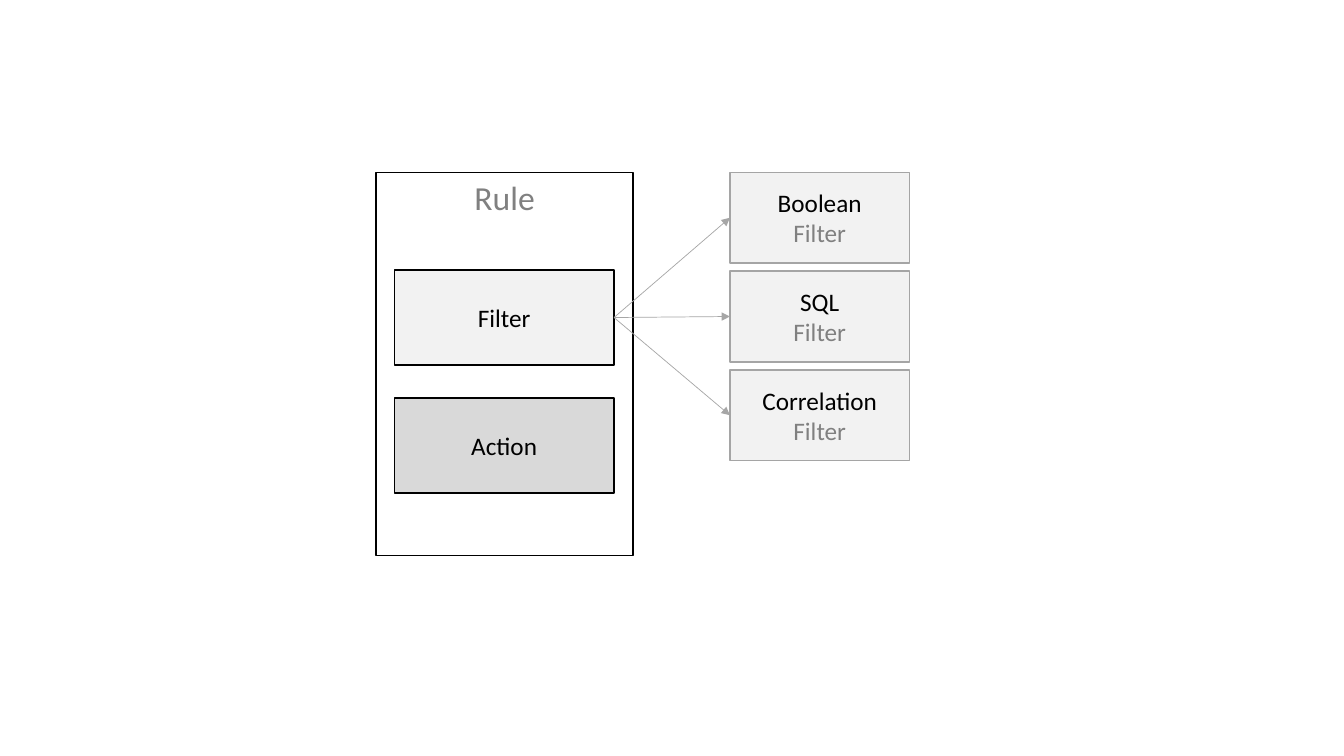
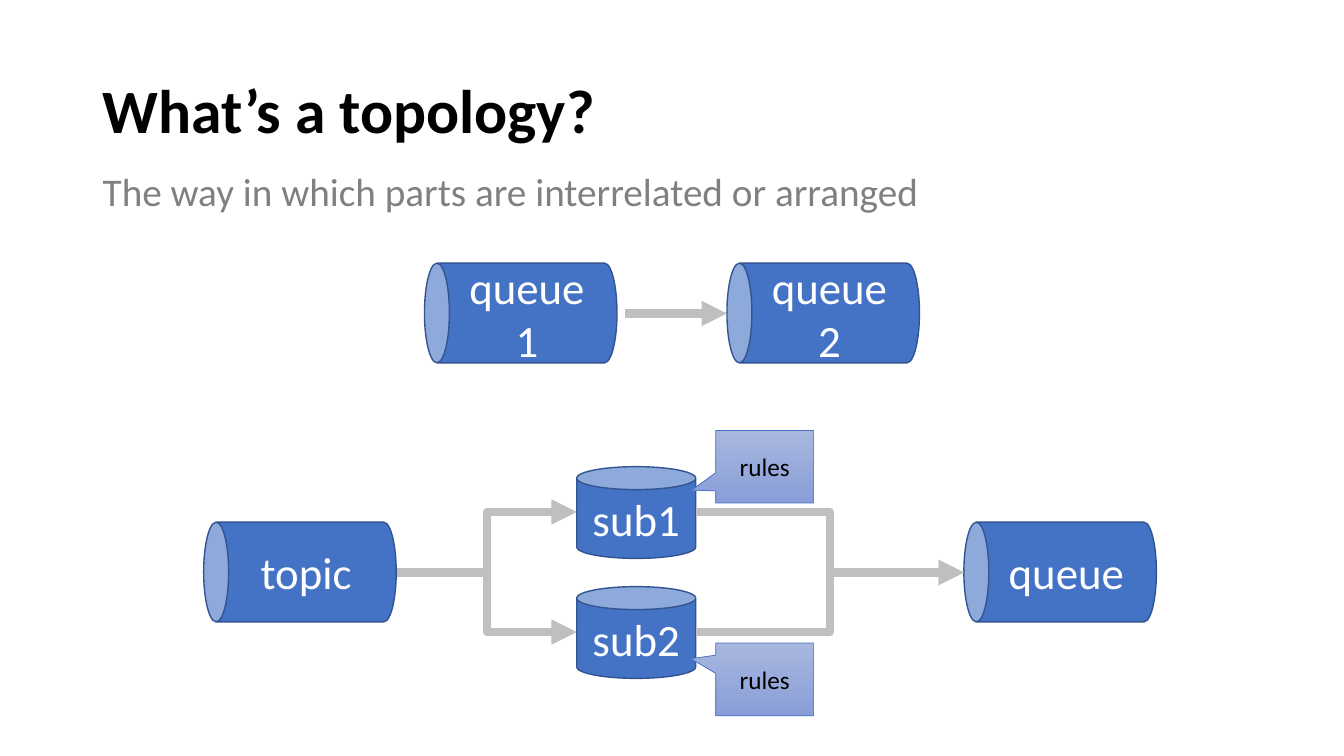
import pptx
import pptx.util
import pptx.dml.color
import pptx.enum.shapes
import pptx.enum.text
import pptx.oxml.ns
import lxml.etree

Inches = pptx.util.Inches
Pt = pptx.util.Pt
SHAPE = pptx.enum.shapes.MSO_SHAPE
CONNECTOR = pptx.enum.shapes.MSO_CONNECTOR
ALIGN = pptx.enum.text.PP_ALIGN
ANCHOR = pptx.enum.text.MSO_ANCHOR
RGB = pptx.dml.color.RGBColor.from_string
qn = pptx.oxml.ns.qn

FONT = "Calibri"
COLORS = {
    "black": "000000", "white": "FFFFFF", "muted": "808080",
    "light": "F2F2F2", "medium": "D9D9D9", "filter_edge": "A5A5A5",
    "thin_arrow": "A6A6A6", "thick_arrow": "BFBFBF",
    "blue": "4472C4", "blue_edge": "325491",
    "callout_top": "A8B7DF", "callout_bottom": "889ED7",
}


def add_box(shapes, preset, at, fill, edge, lines, size, edge_width=1):
    """Add a centred, labelled shape; lines holds (text, colour) pairs."""
    box = shapes.add_shape(preset, *[Inches(length) for length in at])
    box.shadow.inherit = False
    box.fill.solid()
    box.fill.fore_color.rgb = RGB(COLORS[fill])
    box.line.color.rgb = RGB(COLORS[edge])
    box.line.width = Pt(edge_width)
    frame = box.text_frame
    frame.word_wrap = True
    frame.vertical_anchor = ANCHOR.MIDDLE
    for index, (text, color) in enumerate(lines):
        para = frame.add_paragraph() if index else frame.paragraphs[0]
        para.text = text
        para.alignment = ALIGN.CENTER
        para.font.name = FONT
        para.font.size = Pt(size)
        para.font.color.rgb = RGB(COLORS[color])
    return box


def add_arrow(shapes, kind, start, end, color, width):
    points = [Inches(length) for length in (*start, *end)]
    arrow = shapes.add_connector(kind, *points)
    arrow.line.color.rgb = RGB(COLORS[color])
    arrow.line.width = Pt(width)
    properties = arrow._element.spPr
    line = properties.find(qn("a:ln"))
    lxml.etree.SubElement(line, qn("a:tailEnd"), type="triangle")
    lxml.etree.SubElement(properties, qn("a:effectLst"))


deck = pptx.Presentation()
deck.slide_width = Inches(13.33)
deck.slide_height = Inches(7.5)
blank = deck.slide_layouts[6]

# Slide 1: parts of a rule
page = deck.slides.add_slide(blank)
rule = add_box(page.shapes, SHAPE.RECTANGLE, (3.73, 1.71, 2.55, 3.8),
               "white", "black", [("Rule", "muted")], 24)
rule.text_frame.vertical_anchor = ANCHOR.TOP
for text, top, fill in (("Filter", 2.68, "light"), ("Action", 3.95, "medium")):
    add_box(page.shapes, SHAPE.RECTANGLE, (3.91, top, 2.18, 0.94),
            fill, "black", [(text, "black")], 18)

for index, name in enumerate(("Boolean", "SQL", "Correlation")):
    top = 1.71 + 0.98 * index
    add_box(page.shapes, SHAPE.RECTANGLE, (7.24, top, 1.78, 0.9), "light",
            "filter_edge", [(name, "black"), ("Filter", "muted")], 18)
    add_arrow(page.shapes, CONNECTOR.STRAIGHT, (6.09, 3.15),
              (7.24, top + 0.45), "thin_arrow", 0.5)

# Slide 2: two topologies
page = deck.slides.add_slide(blank)
headings = (
    ("What’s a topology?", (0.92, 0.4, 11.5, 1.45), 44, True, "black",
     ANCHOR.MIDDLE, 0.9),
    ("The way in which parts are interrelated or arranged",
     (0.92, 1.61, 11.55, 0.57), 28, False, "muted", ANCHOR.TOP, 1.0),
)
for text, at, size, bold, color, anchor, spacing in headings:
    box = page.shapes.add_textbox(*[Inches(length) for length in at])
    box.text_frame.word_wrap = True
    box.text_frame.vertical_anchor = anchor
    para = box.text_frame.paragraphs[0]
    para.text = text
    para.line_spacing = spacing
    para.font.name = FONT
    para.font.size = Pt(size)
    para.font.bold = bold
    para.font.color.rgb = RGB(COLORS[color])

direct = page.shapes.add_group_shape().shapes
branched = page.shapes.add_group_shape().shapes

queues = (
    (direct, "queue1", 4.67, 2.15), (direct, "queue2", 7.67, 2.15),
    (branched, "topic", 2.48, 4.72), (branched, "queue", 10.02, 4.72),
)
for group, text, left, top in queues:
    can = add_box(group, SHAPE.CAN, (left, top, 0.99, 1.91), "blue",
                  "blue_edge", [(text, "white")], 32)
    can.rotation = 270
    can.text_frame._txBody.bodyPr.set("vert", "vert")
add_arrow(direct, CONNECTOR.STRAIGHT, (6.2, 3.11), (7.21, 3.11),
          "thick_arrow", 6)

subscriptions = (
    ("sub1", 4.63, 4.27, (-0.745, 0.322)),
    ("sub2", 5.82, 6.38, (-0.754, -0.285)),
)
for name, top, callout_top, pointer in subscriptions:
    add_box(branched, SHAPE.CAN, (5.72, top, 1.18, 0.91), "blue",
            "blue_edge", [(name, "white")], 32)
    callout = add_box(branched, SHAPE.RECTANGULAR_CALLOUT,
                      (7.1, callout_top, 0.97, 0.72), "callout_top", "blue",
                      [("rules", "black")], 18, edge_width=0.5)
    callout.adjustments[0], callout.adjustments[1] = pointer
    callout.fill.gradient()
    callout.fill.gradient_angle = 270
    for stop, color in zip(callout.fill.gradient_stops,
                           ("callout_top", "callout_bottom")):
        stop.color.rgb = RGB(COLORS[color])

    middle = top + 0.45
    for start, end in (((3.94, 5.68), (5.72, middle)),
                       ((6.9, middle), (9.56, 5.68))):
        add_arrow(branched, CONNECTOR.ELBOW, start, end, "thick_arrow", 6)

deck.save("out.pptx")
